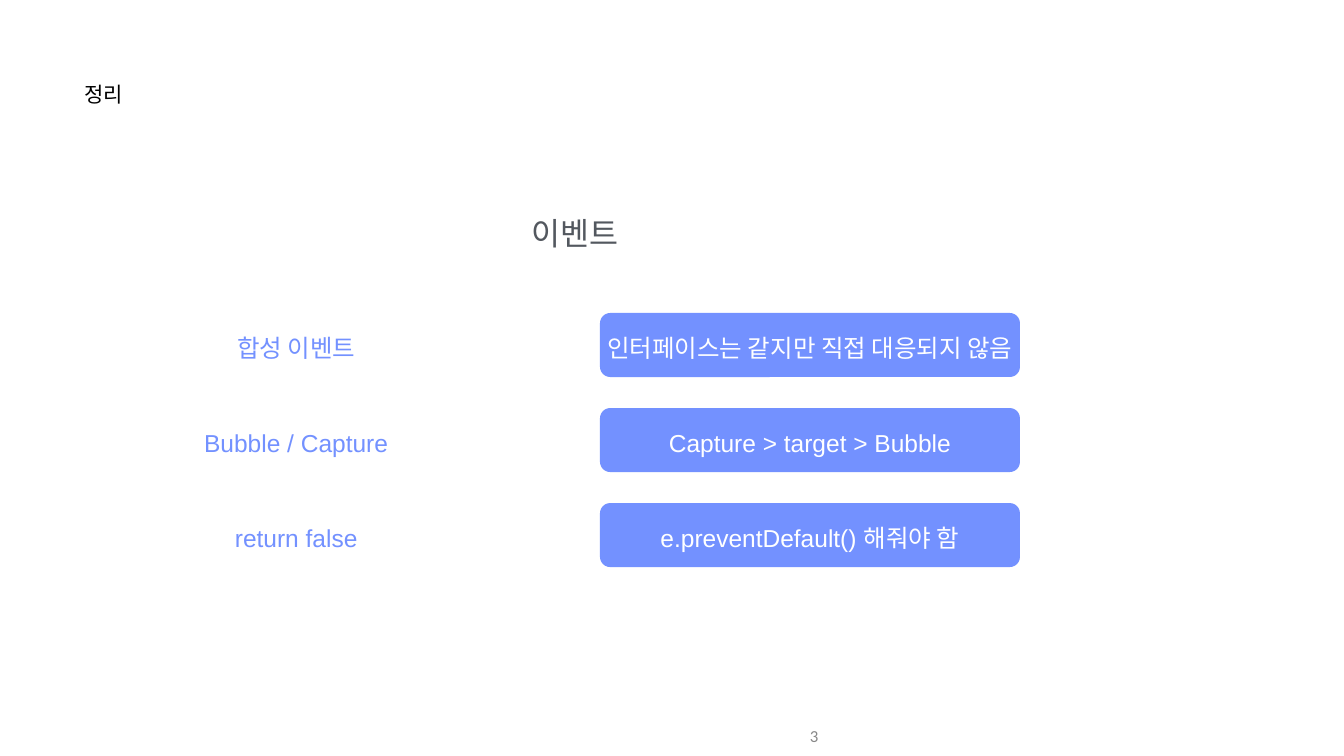
from dataclasses import dataclass
from typing import NamedTuple

from pptx import Presentation
from pptx.dml.color import RGBColor
from pptx.enum.shapes import MSO_SHAPE as Shape
from pptx.enum.text import MSO_ANCHOR as Anchor, PP_ALIGN as Align
from pptx.util import Inches, Pt

SLIDE_WIDTH, SLIDE_HEIGHT = Inches(26.66), Inches(15)


@dataclass(frozen=True)
class Theme:
    font: str = "Arial"
    number_font: str = "Calibri"
    black: str = "000000"
    gray: str = "53585F"
    light_gray: str = "888888"
    blue: str = "7391FF"
    white: str = "FFFFFF"
    title_size: int = 30
    heading_size: int = 45
    row_size: int = 35
    number_size: int = 24


class Area(NamedTuple):
    """A rectangle in percent of the slide's width and height."""
    left: float
    top: float
    width: float
    height: float

    def emu(self) -> tuple[int, int, int, int]:
        return (round(SLIDE_WIDTH * self.left / 100), round(SLIDE_HEIGHT * self.top / 100),
                round(SLIDE_WIDTH * self.width / 100), round(SLIDE_HEIGHT * self.height / 100))


class Style(NamedTuple):
    size: int
    color: str
    align: Align = Align.CENTER
    anchor: Anchor = Anchor.TOP
    font: str = "Arial"
    inset: float = 0.01
    top_inset: float = 0.01


class SummaryRow(NamedTuple):
    term: str
    meaning: str


THEME = Theme()
TITLE_AREA = Area(6.26, 10.67, 18.23, 7.87)
HEADING_AREA = Area(9.9, 28.27, 65.79, 5.27)
NUMBER_AREA = Area(38.75, 94.73, 22.51, 5.27)
TERM_LEFT, TERM_WIDTH = 10.32, 23.44
MEANING_LEFT, MEANING_WIDTH = 44.64, 31.25
FIRST_ROW_TOP, ROW_PITCH, ROW_HEIGHT = 41.4, 12.57, 8.47
CORNER = 0.16

ROWS = [
    SummaryRow("합성 이벤트", "인터페이스는 같지만 직접 대응되지 않음"),
    SummaryRow("Bubble / Capture", "Capture > target > Bubble"),
    SummaryRow("return false", "e.preventDefault() 해줘야 함"),
]


def write_text(shape, text: str, style: Style) -> None:
    frame = shape.text_frame
    frame.word_wrap = True
    frame.vertical_anchor = style.anchor
    frame.margin_left = frame.margin_right = frame.margin_bottom = Inches(style.inset)
    frame.margin_top = Inches(style.top_inset)
    paragraph = frame.paragraphs[0]
    paragraph.alignment = style.align
    run = paragraph.add_run()
    run.text = text
    run.font.name = style.font
    run.font.size = Pt(style.size)
    run.font.color.rgb = RGBColor.from_string(style.color)


def add_label(slide, area: Area, text: str, style: Style) -> None:
    write_text(slide.shapes.add_textbox(*area.emu()), text, style)


def add_pill(slide, area: Area, text: str, style: Style) -> None:
    shape = slide.shapes.add_shape(Shape.ROUNDED_RECTANGLE, *area.emu())
    shape.adjustments[0] = CORNER
    shape.shadow.inherit = False
    shape.fill.solid()
    shape.fill.fore_color.rgb = RGBColor.from_string(THEME.blue)
    shape.line.fill.background()
    write_text(shape, text, style)


def add_summary_row(slide, index: int, row: SummaryRow) -> None:
    top = FIRST_ROW_TOP + index * ROW_PITCH
    term_style = Style(THEME.row_size, THEME.blue, anchor=Anchor.MIDDLE,
                       font=THEME.font, top_inset=0.12)
    add_label(slide, Area(TERM_LEFT, top, TERM_WIDTH, ROW_HEIGHT), row.term, term_style)
    add_pill(slide, Area(MEANING_LEFT, top, MEANING_WIDTH, ROW_HEIGHT), row.meaning,
             term_style._replace(color=THEME.white))


def main() -> None:
    presentation = Presentation()
    presentation.slide_width, presentation.slide_height = SLIDE_WIDTH, SLIDE_HEIGHT
    slide = presentation.slides.add_slide(presentation.slide_layouts[6])

    add_label(slide, TITLE_AREA, "정리",
              Style(THEME.title_size, THEME.black, Align.LEFT, font=THEME.font))
    add_label(slide, HEADING_AREA, "이벤트",
              Style(THEME.heading_size, THEME.gray, font=THEME.font))
    for index, row in enumerate(ROWS):
        add_summary_row(slide, index, row)
    add_label(slide, NUMBER_AREA, "3",
              Style(THEME.number_size, THEME.light_gray, Align.RIGHT, Anchor.MIDDLE,
                    THEME.number_font, inset=0.1, top_inset=0.1))

    presentation.save("out.pptx")


if __name__ == "__main__":
    main()
